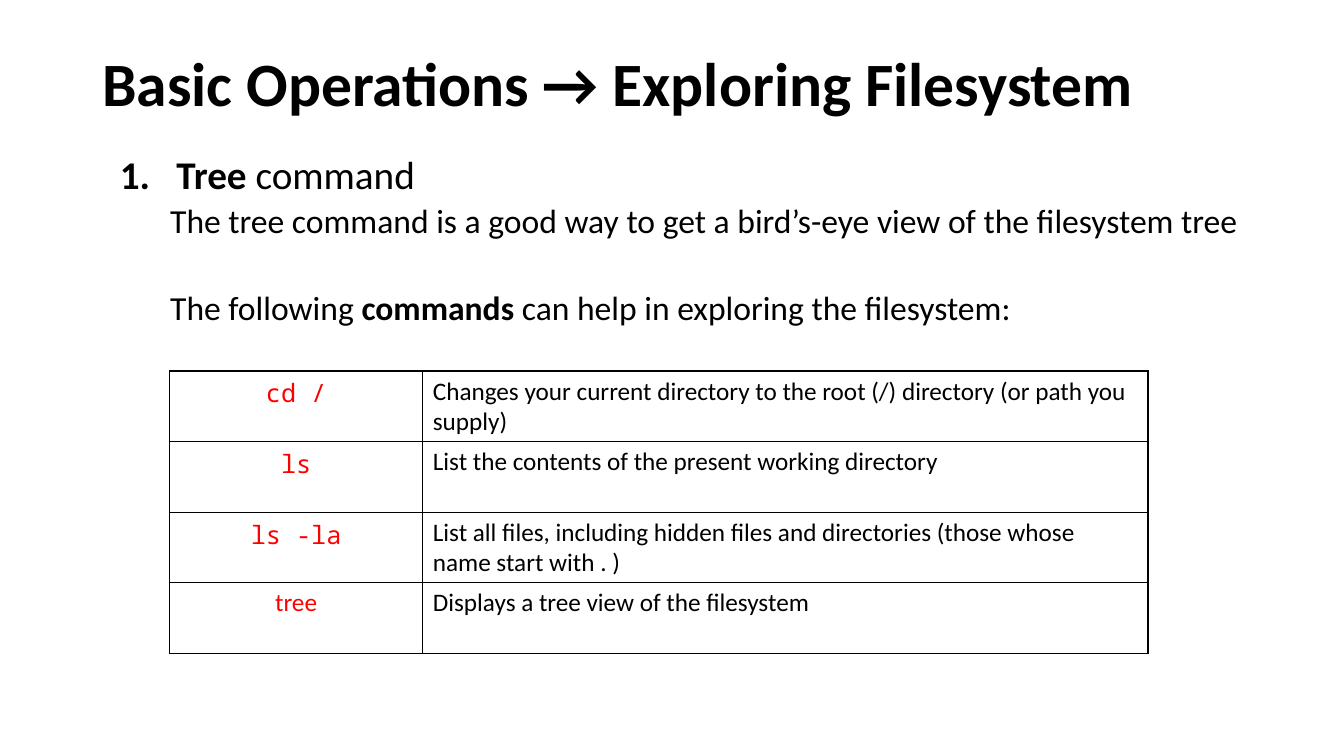
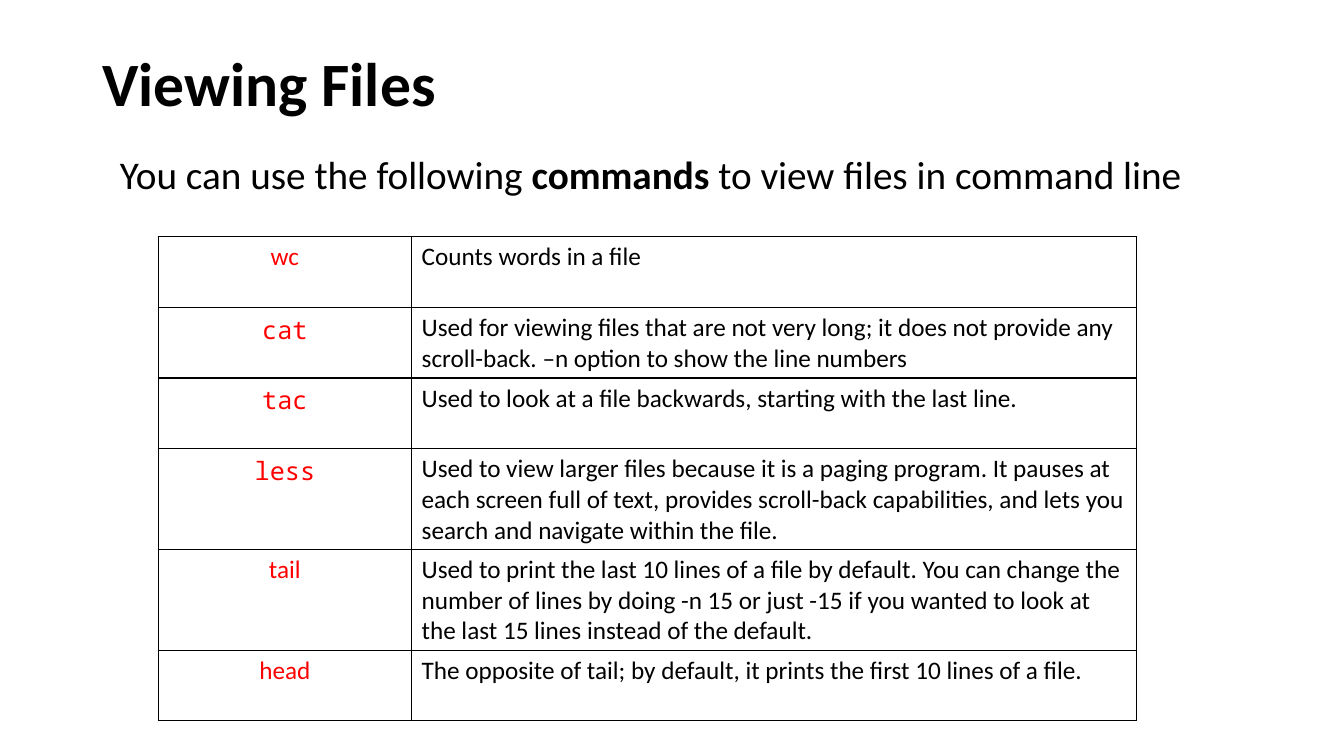
from dataclasses import dataclass

from lxml.etree import SubElement
from pptx import Presentation
from pptx.dml.color import RGBColor as Rgb
from pptx.enum.text import MSO_ANCHOR as Anchor, PP_ALIGN as Align
from pptx.oxml.ns import qn
from pptx.util import Pt


@dataclass(frozen=True)
class Theme:
    ink: str = "000000"
    command: str = "FF0000"
    sans: str = "Calibri"
    mono: str = "Noto Sans Mono"
    title: int = 44
    lead: int = 28
    detail: int = 24
    cell: int = 18
    rule: float = 1
    line_spacing: float = 0.9


THEME = Theme()
SLIDE_SIZE = (960, 540)
TITLE_BOX = (66, 11, 877, 101)
BODY_BOX = (78.5, 107.3, 839, 406)
COLUMN_WIDTHS = (181, 518)
ROW_HEIGHT = 50.4
NUMBER_INDENT = 40.5
DETAIL_INDENT = 36


def apply_format(target, values):
    for name, value in values.items():
        setattr(target, name, value)


class Deck:
    """Holds the theme and the slide being filled."""

    def __init__(self, theme):
        self.theme = theme
        self.prs = Presentation()
        self.prs.slide_width, self.prs.slide_height = map(Pt, SLIDE_SIZE)
        self.slide = None

    def new_slide(self, title):
        self.slide = self.prs.slides.add_slide(self.prs.slide_layouts[6])
        frame = self.text_frame(TITLE_BOX, Anchor.MIDDLE)
        self.add_text(frame.paragraphs[0], f"**{title}**", self.theme.title,
                      line_spacing=self.theme.line_spacing)

    def text_frame(self, box, anchor=Anchor.TOP):
        frame = self.slide.shapes.add_textbox(*map(Pt, box)).text_frame
        apply_format(frame, {"word_wrap": True, "vertical_anchor": anchor})
        return frame

    def add_text(self, paragraph, text, size, color=None, font=None, **layout):
        """Fill a paragraph with text; parts between ** marks are bold."""
        apply_format(paragraph, layout)
        for index, part in enumerate(text.split("**")):
            if part:
                run = paragraph.add_run()
                run.text = part
                apply_format(run.font, {"name": font or self.theme.sans,
                                        "size": Pt(size), "bold": index % 2 == 1})
                run.font.color.rgb = Rgb.from_string(color or self.theme.ink)

    def body(self, lead, details=(), numbered=False):
        """Add a lead line and (text, space before) detail lines under it."""
        spacing = self.theme.line_spacing
        frame = self.text_frame(BODY_BOX)
        first = frame.paragraphs[0]
        if numbered:
            self.number(first)
        self.add_text(first, lead, self.theme.lead, line_spacing=spacing)
        for text, gap in details:
            detail = frame.add_paragraph()
            detail.level = 1
            detail._p.get_or_add_pPr().set("marL", str(Pt(DETAIL_INDENT)))
            self.add_text(detail, text, self.theme.detail,
                          line_spacing=spacing, space_before=Pt(gap))

    def number(self, paragraph):
        properties = paragraph._p.get_or_add_pPr()
        properties.set("marL", str(Pt(NUMBER_INDENT)))
        properties.set("indent", str(-Pt(NUMBER_INDENT)))
        SubElement(properties, qn("a:buFont"), typeface="+mj-lt")
        SubElement(properties, qn("a:buAutoNum"), type="arabicPeriod")

    def command_table(self, left, top, commands):
        """Draw a table of (command, font, meaning) rows."""
        table = self.slide.shapes.add_table(
            len(commands), len(COLUMN_WIDTHS), Pt(left), Pt(top),
            Pt(sum(COLUMN_WIDTHS)), Pt(ROW_HEIGHT * len(commands))).table
        apply_format(table, {"first_row": False, "horz_banding": False})
        for column, width in zip(table.columns, COLUMN_WIDTHS):
            column.width = Pt(width)
        for row, (command, font, meaning) in enumerate(commands):
            name_cell, meaning_cell = table.cell(row, 0), table.cell(row, 1)
            self.add_text(name_cell.text_frame.paragraphs[0], command, self.theme.cell,
                          self.theme.command, font, alignment=Align.CENTER)
            self.add_text(meaning_cell.text_frame.paragraphs[0], meaning, self.theme.cell)
            for cell in (name_cell, meaning_cell):
                self.outline(cell)

    def outline(self, cell):
        properties = cell._tc.get_or_add_tcPr()
        for edge in ("lnL", "lnR", "lnT", "lnB"):
            line = SubElement(properties, qn(f"a:{edge}"), w=str(Pt(self.theme.rule)))
            fill = SubElement(line, qn("a:solidFill"))
            SubElement(fill, qn("a:srgbClr"), val=self.theme.ink)
        cell.fill.background()


def exploring_filesystem(deck):
    mono, sans = deck.theme.mono, deck.theme.sans
    deck.new_slide("Basic Operations → Exploring Filesystem")
    deck.body("**Tree **command", numbered=True, details=[
        ("The tree command is a good way to get a bird’s-eye view of the filesystem tree", 5),
        ("The following **commands** can help in exploring the filesystem:", 36),
    ])
    deck.command_table(121, 265, [
        ("cd /", mono, "Changes your current directory to the root (/) directory "
                       "(or path you supply)"),
        ("ls", mono, "List the contents of the present working directory"),
        ("ls -la", mono, "List all files, including hidden files and directories "
                         "(those whose name start with . )"),
        ("tree", sans, "Displays a tree view of the filesystem"),
    ])


def viewing_files(deck):
    mono, sans = deck.theme.mono, deck.theme.sans
    deck.new_slide("Viewing Files")
    deck.body("You can use the following **commands **to view files in command line")
    deck.command_table(113, 169.2, [
        ("wc", sans, "Counts words in a file"),
        ("cat", mono, "Used for viewing files that are not very long; it does not provide "
                      "any scroll-back. –n option to show the line numbers"),
        ("tac", mono, "Used to look at a file backwards, starting with the last line."),
        ("less", mono, "Used to view larger files because it is a paging program. It pauses "
                       "at each screen full of text, provides scroll-back capabilities, and "
                       "lets you search and navigate within the file."),
        ("tail", sans, "Used to print the last 10 lines of a file by default. You can change "
                       "the number of lines by doing -n 15 or just -15 if you wanted to look "
                       "at the last 15 lines instead of the default."),
        ("head", sans, "The opposite of tail; by default, it prints the first 10 lines "
                       "of a file."),
    ])


def main():
    deck = Deck(THEME)
    exploring_filesystem(deck)
    viewing_files(deck)
    deck.prs.save("out.pptx")


if __name__ == "__main__":
    main()
